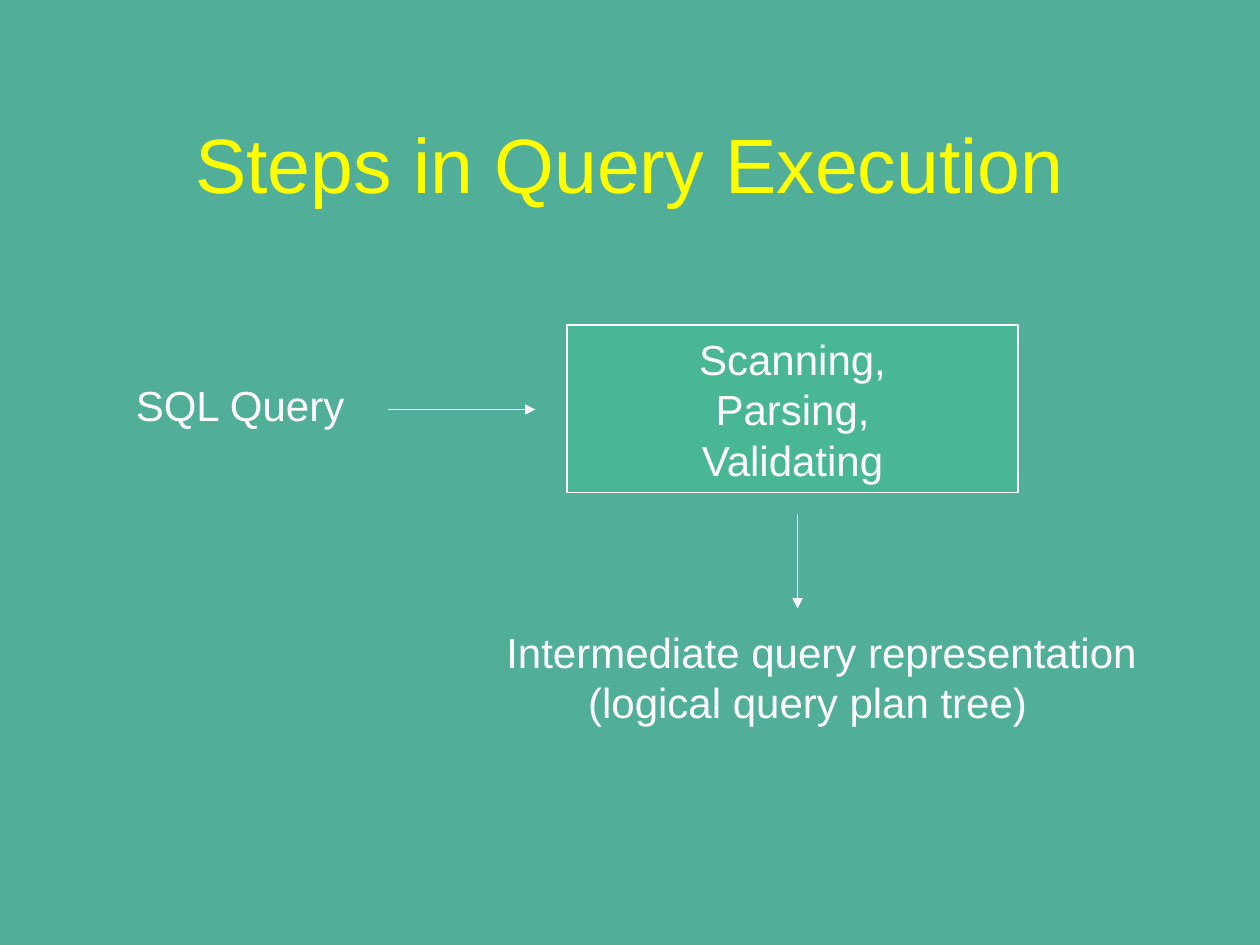
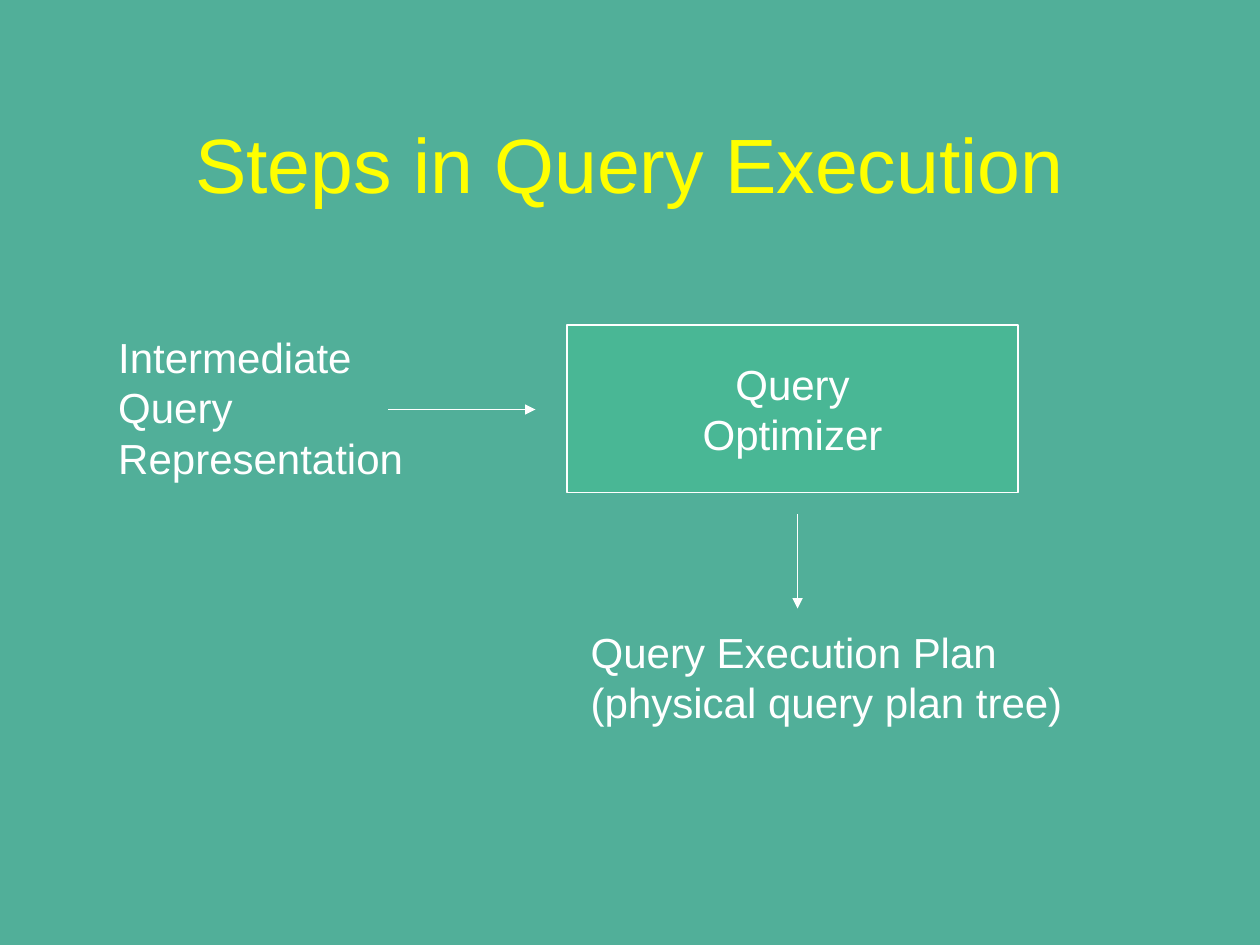
from dataclasses import dataclass

from lxml.etree import SubElement
from pptx import Presentation
from pptx.dml.color import RGBColor
from pptx.enum.shapes import MSO_CONNECTOR as Connector, MSO_SHAPE as Shape
from pptx.enum.text import MSO_ANCHOR as Anchor, MSO_AUTO_SIZE as AutoSize, PP_ALIGN as Align
from pptx.oxml.ns import qn
from pptx.util import Inches, Pt


@dataclass(frozen=True)
class Theme:
    background: RGBColor = RGBColor(0x51, 0xAF, 0x99)
    box: RGBColor = RGBColor(0x49, 0xB7, 0x95)
    title: RGBColor = RGBColor(0xFF, 0xFF, 0x00)
    ink: RGBColor = RGBColor(0xFF, 0xFF, 0xFF)
    font: str = "Arial"
    title_size: Pt = Pt(44)
    text_size: Pt = Pt(24)
    line_width: Pt = Pt(0.75)


class Deck:
    TITLE_ONLY = 5

    def __init__(self, theme):
        self.theme = theme
        self.slide = None
        self.presentation = Presentation()
        self.presentation.slide_width = Inches(10)
        self.presentation.slide_height = Inches(7.5)
        backdrop = self.presentation.slide_master.background.fill
        backdrop.solid()
        backdrop.fore_color.rgb = theme.background

    def set_text(self, frame, text, size, color, align):
        frame.text = text
        for paragraph in frame.paragraphs:
            paragraph.alignment = align
            for run in paragraph.runs:
                run.font.name = self.theme.font
                run.font.size = size
                run.font.color.rgb = color

    def add_slide(self, heading):
        layout = self.presentation.slide_layouts[self.TITLE_ONLY]
        self.slide = self.presentation.slides.add_slide(layout)
        title = self.slide.shapes.title
        title.left, title.top = Inches(0.75), Inches(0.67)
        title.width, title.height = Inches(8.5), Inches(1.25)
        title.text_frame.vertical_anchor = Anchor.MIDDLE
        self.set_text(title.text_frame, heading, self.theme.title_size,
                      self.theme.title, Align.CENTER)

    def label(self, text, left, top, width, height, last_indent=0):
        """Add free text; last_indent shifts its last line, in inches."""
        box = self.slide.shapes.add_textbox(
            Inches(left), Inches(top), Inches(width), Inches(height))
        frame = box.text_frame
        frame.word_wrap = False
        frame.auto_size = AutoSize.SHAPE_TO_FIT_TEXT
        self.set_text(frame, text, self.theme.text_size, self.theme.ink, Align.LEFT)
        if last_indent:
            properties = frame.paragraphs[-1]._p.get_or_add_pPr()
            properties.set("marL", str(Inches(last_indent)))

    def process(self, text, left, top, width, height):
        box = self.slide.shapes.add_shape(
            Shape.RECTANGLE, Inches(left), Inches(top), Inches(width), Inches(height))
        box.shadow.inherit = False
        box.fill.solid()
        box.fill.fore_color.rgb = self.theme.box
        box.line.color.rgb = self.theme.ink
        box.line.width = self.theme.line_width
        frame = box.text_frame
        frame.word_wrap = False
        frame.vertical_anchor = Anchor.MIDDLE
        self.set_text(frame, text, self.theme.text_size, self.theme.ink, Align.CENTER)

    def arrow(self, x1, y1, x2, y2):
        arrow = self.slide.shapes.add_connector(
            Connector.STRAIGHT, Inches(x1), Inches(y1), Inches(x2), Inches(y2))
        arrow.line.color.rgb = self.theme.ink
        arrow.line.width = self.theme.line_width
        properties = arrow._element.spPr
        SubElement(properties.find(qn("a:ln")), qn("a:tailEnd"), type="triangle")
        SubElement(properties, qn("a:effectLst"))

    def step(self, source, process, result):
        """Build one slide: source, arrow, process box, arrow, result."""
        self.add_slide("Steps in Query Execution")
        self.label(**source)
        self.process(process, 4.5, 2.58, 3.58, 1.33)
        self.arrow(3.08, 3.25, 4.25, 3.25)
        self.arrow(6.33, 4.08, 6.33, 4.83)
        self.label(top=4.92, height=0.9, **result)


def main():
    deck = Deck(Theme())
    deck.step(
        source=dict(text="SQL Query", left=0.98, top=2.96, width=1.86, height=0.5),
        process="Scanning,\nParsing,\nValidating",
        result=dict(text="Intermediate query representation\n(logical query plan tree)",
                    left=3.92, width=5.2, last_indent=0.65))
    deck.step(
        source=dict(text="Intermediate\nQuery\nRepresentation",
                    left=0.84, top=2.58, width=2.46, height=1.3),
        process="Query\nOptimizer",
        result=dict(text="Query Execution Plan\n(physical query plan tree)",
                    left=4.59, width=3.94))
    deck.presentation.save("out.pptx")


if __name__ == "__main__":
    main()
